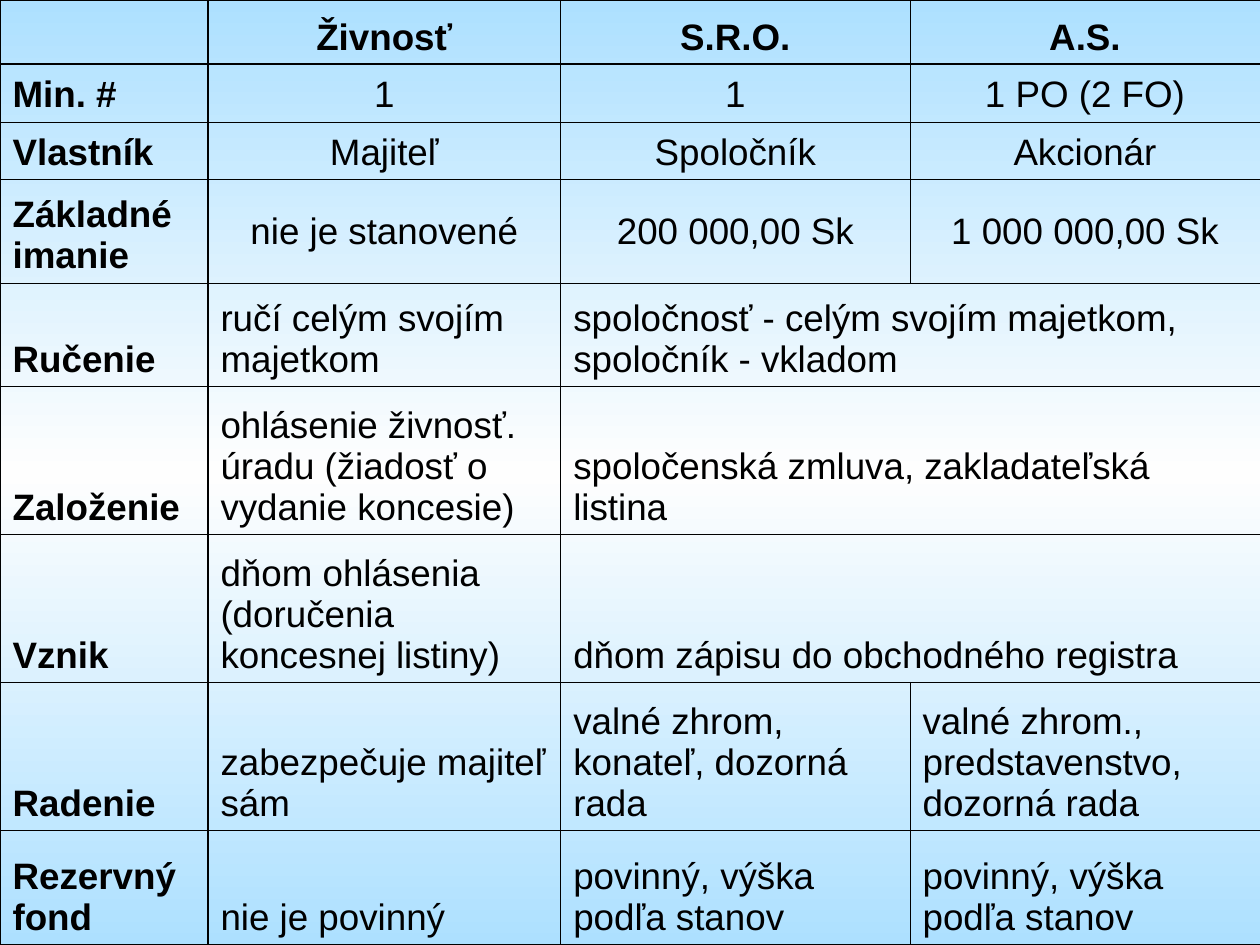
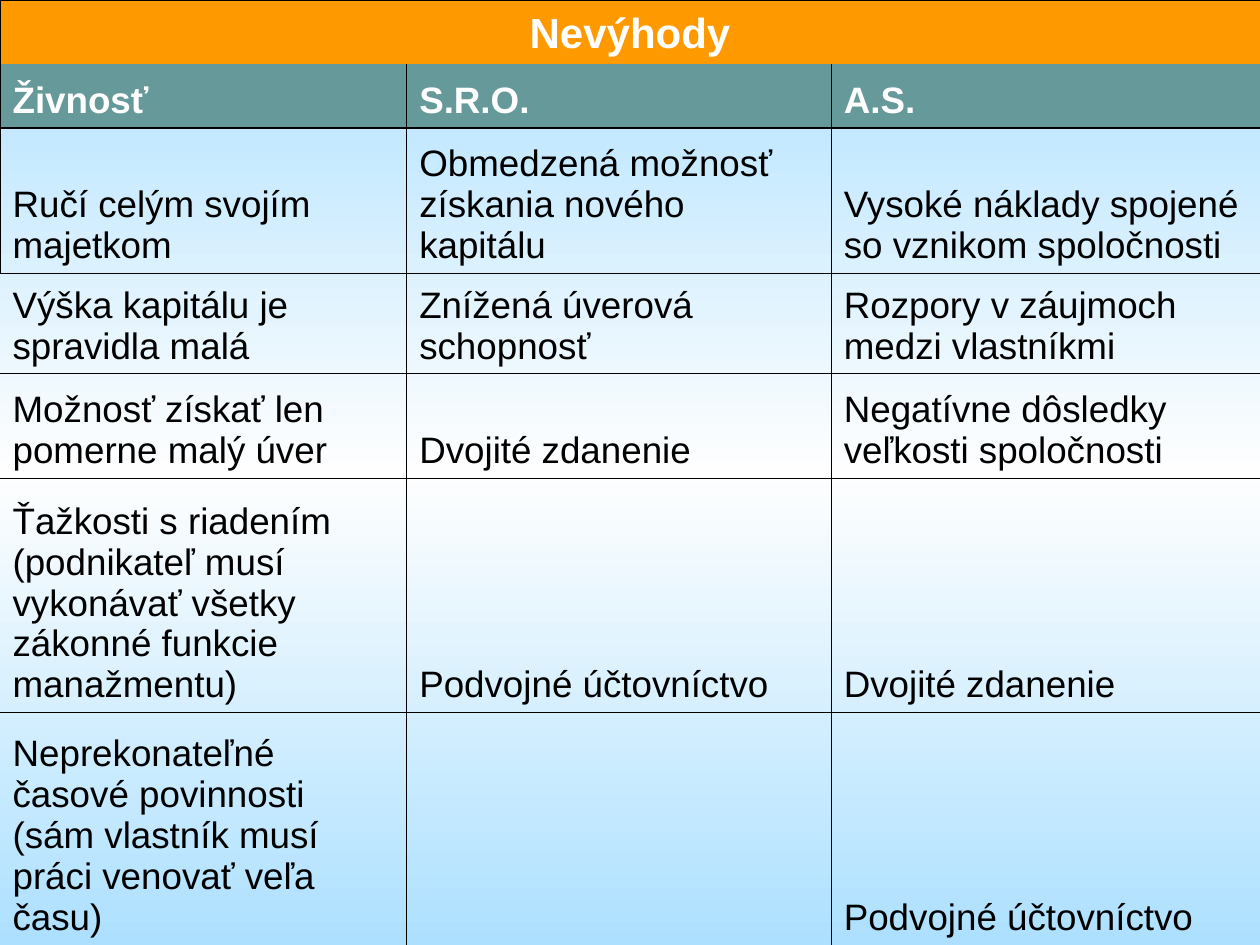
import pptx
import pptx.dml.color
import pptx.enum.text
import pptx.oxml
import pptx.oxml.ns
import pptx.util
from copy import deepcopy
from itertools import product

Pt = pptx.util.Pt
qn = pptx.oxml.ns.qn
ALIGN = pptx.enum.text.PP_ALIGN
ANCHOR = pptx.enum.text.MSO_ANCHOR

COLORS = {
    "sky": "ADE0FF",
    "pale": "FEFEFE",
    "black": "000000",
    "white": "FFFFFF",
    "orange": "FF9900",
    "teal": "669999",
}
WIDTH, HEIGHT = 720, 540
THIN, THICK = 0.45, 1.08

COMPARISON = [
    ["", "Živnosť", "S.R.O.", "A.S."],
    ["Min. #", "1", "1", "1 PO (2 FO)"],
    ["Vlastník", "Majiteľ", "Spoločník", "Akcionár"],
    ["Základné imanie", "nie je stanovené", "200 000,00 Sk", "1 000 000,00 Sk"],
    ["Ručenie", "ručí celým svojím majetkom",
     "spoločnosť - celým svojím majetkom, spoločník - vkladom"],
    ["Založenie", "ohlásenie živnosť. úradu (žiadosť o vydanie koncesie)",
     "spoločenská zmluva, zakladateľská listina"],
    ["Vznik", "dňom ohlásenia (doručenia koncesnej listiny)",
     "dňom zápisu do obchodného registra"],
    ["Radenie", "zabezpečuje majiteľ sám",
     "valné zhrom, konateľ, dozorná rada",
     "valné zhrom., predstavenstvo, dozorná rada"],
    ["Rezervný fond", "nie je povinný",
     "povinný, výška podľa stanov", "povinný, výška podľa stanov"],
]

DISADVANTAGES = [
    ["Nevýhody"],
    ["Živnosť", "S.R.O.", "A.S."],
    ["Ručí celým svojím majetkom",
     "Obmedzená možnosť získania nového kapitálu",
     "Vysoké náklady spojené so vznikom spoločnosti"],
    ["Výška kapitálu je spravidla malá",
     "Znížená úverová schopnosť",
     "Rozpory v záujmoch medzi vlastníkmi"],
    ["Možnosť získať len pomerne malý úver",
     "Dvojité zdanenie",
     "Negatívne dôsledky veľkosti spoločnosti"],
    ["Ťažkosti s riadením (podnikateľ musí vykonávať všetky zákonné funkcie manažmentu)",
     "Podvojné účtovníctvo", "Dvojité zdanenie"],
    ["Neprekonateľné časové povinnosti (sám vlastník musí práci venovať veľa času)",
     "", "Podvojné účtovníctvo"],
]


def rgb(name):
    return pptx.dml.color.RGBColor.from_string(COLORS[name])


def write_text(cell, text, size=21, bold=False, color="black",
               align=ALIGN.LEFT, anchor=ANCHOR.BOTTOM):
    cell.vertical_anchor = anchor
    paragraph = cell.text_frame.paragraphs[0]
    paragraph.alignment = align
    if text:
        run = paragraph.add_run()
        run.text = text
        run.font.name = "Arial"
        run.font.size = Pt(size)
        run.font.bold = bold
        run.font.color.rgb = rgb(color)


def draw_borders(cell, left, right, top, bottom):
    properties = cell._tc.get_or_add_tcPr()
    sides = zip(("lnL", "lnR", "lnT", "lnB"), (left, right, top, bottom))
    for position, (tag, weight) in enumerate(sides):
        paint = (f'<a:solidFill><a:srgbClr val="{COLORS["black"]}"/></a:solidFill>'
                 if weight else "<a:noFill/>")
        line = pptx.oxml.parse_xml(
            f'<a:{tag} {pptx.oxml.ns.nsdecls("a")} w="{int(Pt(weight))}">{paint}</a:{tag}>')
        properties.insert(position, line)


class Deck:
    def __init__(self):
        self.presentation = pptx.Presentation()
        self.presentation.slide_width = Pt(WIDTH)
        self.presentation.slide_height = Pt(HEIGHT)
        self.slide = None

    def add_slide(self):
        self.slide = self.presentation.slides.add_slide(self.presentation.slide_layouts[6])
        fill = self.slide.background.fill
        fill.gradient()
        fill.gradient_angle = 90
        stop_list = next(self.slide.element.iter(qn("a:gsLst")))
        stop_list.append(deepcopy(stop_list[0]))
        for stop, position, color in zip(fill.gradient_stops, (0, 0.5, 1),
                                         ("sky", "pale", "sky")):
            stop.position = position
            stop.color.rgb = rgb(color)

    def add_table(self, texts, widths, heights, cell_format,
                  horizontal, vertical, open_left_from=None):
        shape = self.slide.shapes.add_table(
            len(heights), len(widths), 0, 0, Pt(WIDTH), Pt(HEIGHT))
        table = shape.table
        table.first_row = table.horz_banding = False
        for column, width in zip(table.columns, widths):
            column.width = Pt(width)
        for row, height in zip(table.rows, heights):
            row.height = Pt(height)
        for row, column in product(range(len(heights)), range(len(widths))):
            cell = table.cell(row, column)
            left = vertical.get(column, THIN)
            if column == 0 and open_left_from is not None and row >= open_left_from:
                left = 0
            fill, text_format = cell_format(row, column)
            if fill:
                cell.fill.solid()
                cell.fill.fore_color.rgb = rgb(fill)
            else:
                cell.fill.background()
            draw_borders(cell, left, vertical.get(column + 1, THIN),
                         horizontal.get(row, THIN), horizontal.get(row + 1, THIN))
            if column < len(texts[row]):
                write_text(cell, texts[row][column], **text_format)
        for row, row_texts in enumerate(texts):
            if len(row_texts) < len(widths):
                table.cell(row, len(row_texts) - 1).merge(table.cell(row, len(widths) - 1))


def comparison_format(row, column):
    centered = row <= 3 and column > 0
    return None, {
        "bold": row == 0 or column == 0,
        "align": ALIGN.CENTER if centered else ALIGN.LEFT,
        "anchor": ANCHOR.MIDDLE if centered and row == 3 else ANCHOR.BOTTOM,
    }


def disadvantages_format(row, column):
    if row == 0:
        return "orange", {"size": 24, "bold": True, "color": "white", "align": ALIGN.CENTER}
    if row == 1:
        return "teal", {"bold": True, "color": "white"}
    return None, {}


def main():
    deck = Deck()
    deck.add_slide()
    deck.add_table(
        COMPARISON,
        widths=[118.8, 201.6, 199.6, 200],
        heights=[36.7, 33, 33, 59, 59, 84.6, 84.6, 84.6, 65.5],
        cell_format=comparison_format,
        horizontal={1: THICK},
        vertical={1: THICK},
    )
    deck.add_slide()
    deck.add_table(
        DISADVANTAGES,
        widths=[232.4, 242.6, 245],
        heights=[36.6, 36.6, 82.8, 57.6, 59.5, 133.8, 133.1],
        cell_format=disadvantages_format,
        horizontal={1: 0, 2: THICK},
        vertical={},
        open_left_from=3,
    )
    deck.presentation.save("out.pptx")


if __name__ == "__main__":
    main()
